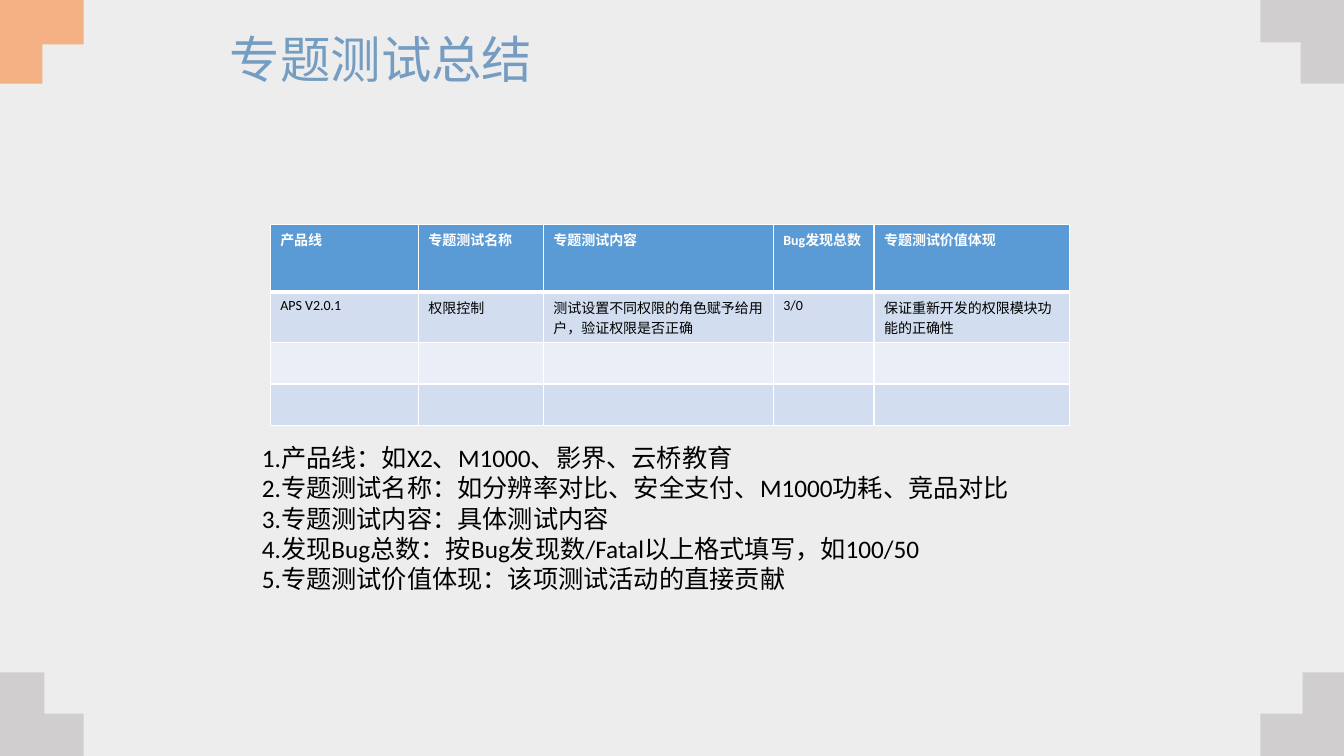
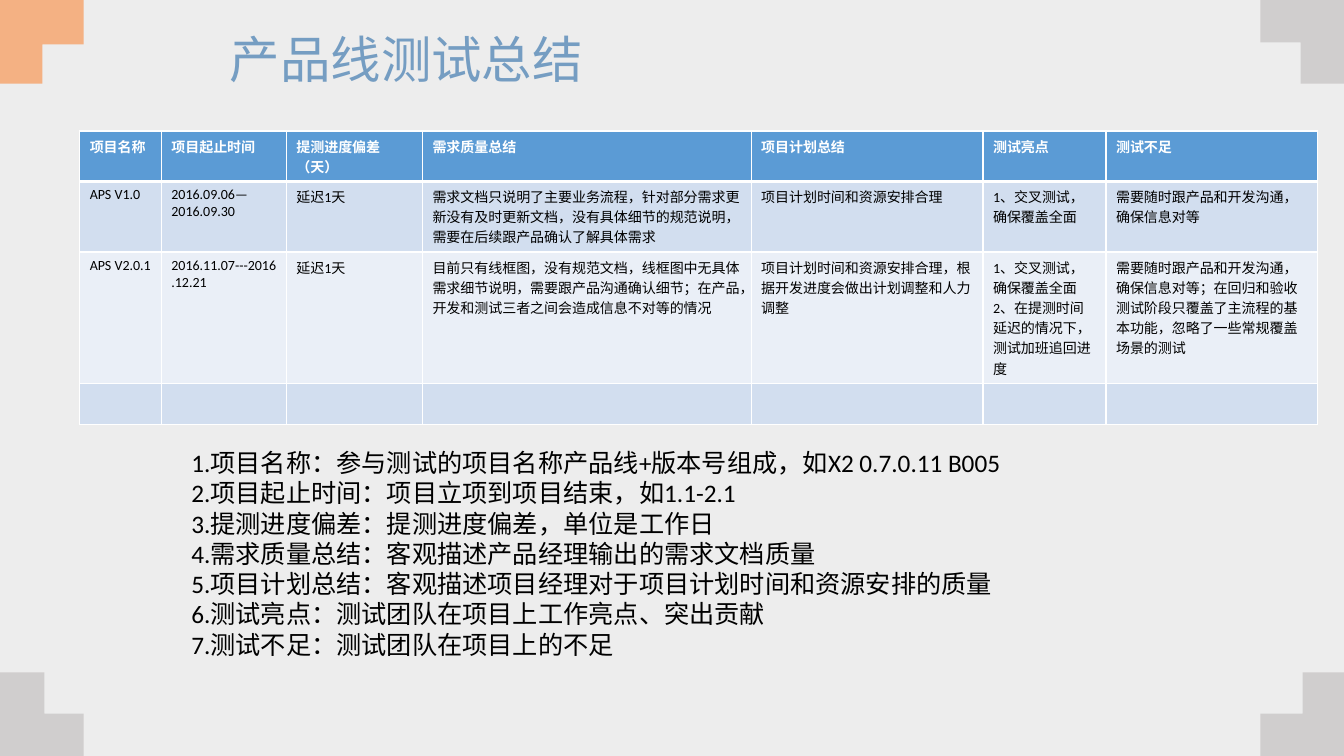
from lxml import etree
from pptx import Presentation
from pptx.dml.color import RGBColor
from pptx.enum.text import MSO_ANCHOR, MSO_AUTO_SIZE, PP_ALIGN
from pptx.oxml.ns import qn
from pptx.util import Inches, Pt

LEFT = PP_ALIGN.LEFT
TOP = MSO_ANCHOR.TOP
MIDDLE = MSO_ANCHOR.MIDDLE
NO_AUTOFIT = MSO_AUTO_SIZE.NONE
FIT_SHAPE = MSO_AUTO_SIZE.SHAPE_TO_FIT_TEXT
WIDTH, HEIGHT = 13.33, 7.5

BACKGROUND, ORANGE, GREY = "EDEDED", "F4B183", "D0CECE"
WHITE, BLACK, TITLE_BLUE, HEADER_BLUE = "FFFFFF", "000000", "759DC2", "5B9BD5"
BANDS = ["EAEFF7", "D2DEEF"]
LATIN, CHINESE = "Calibri", "Noto Sans CJK SC"

TITLE_FORMAT = {"name": CHINESE, "size": Pt(36), "bold": False}
HEADER_FORMAT = {"name": LATIN, "size": Pt(10), "bold": True}
CELL_FORMAT = {"name": LATIN, "size": Pt(10), "bold": False}
NOTE_FORMAT = {"name": LATIN, "size": Pt(18), "bold": False}


def color(value):
    return RGBColor.from_string(value)


class Deck:
    def __init__(self):
        self.presentation = Presentation()
        self.presentation.slide_width = Inches(WIDTH)
        self.presentation.slide_height = Inches(HEIGHT)
        self.layout = self.presentation.slide_layouts[5]
        fill = self.presentation.slide_master.background.fill
        fill.solid()
        fill.fore_color.rgb = color(BACKGROUND)
        self.slide = None

    def add_slide(self, title):
        first = self.slide is None
        self.slide = self.presentation.slides.add_slide(self.layout)
        if first:
            self.add_layout_corners()
        placeholder = self.slide.shapes.title
        self.place(placeholder, 2.18, 0.28, 8.98, 0.67)
        frame = placeholder.text_frame
        self.set_text(frame, [title], TITLE_FORMAT, TITLE_BLUE, CHINESE)
        for name, value in {"vertical_anchor": MIDDLE, "auto_size": NO_AUTOFIT,
                            "word_wrap": True}.items():
            setattr(frame, name, value)
        frame.paragraphs[0].line_spacing = 0.9

    def add_layout_corners(self):
        corners = [
            (0, HEIGHT, 1, -1, 0.44, 0.42, GREY),
            (0, 0, 1, 1, 0.42, 0.44, ORANGE),
            (WIDTH, 0, -1, 1, 0.43, 0.42, GREY),
            (WIDTH, HEIGHT, -1, -1, 0.41, 0.42, GREY),
        ]
        for corner in corners:
            shape = self.add_corner(*corner)
            self.layout.shapes.element.append(shape.element)

    def add_corner(self, x, y, across, down, arm_width, arm_height, fill, reach=0.83):
        offsets = [(0, 0), (reach, 0), (reach, arm_height), (arm_width, arm_height),
                   (arm_width, reach), (0, reach)]
        points = [(Inches(x + across * horizontal), Inches(y + down * vertical))
                  for horizontal, vertical in offsets]
        builder = self.slide.shapes.build_freeform(*points[0])
        builder.add_line_segments(points[1:], close=True)
        shape = builder.convert_to_shape()
        shape.shadow.inherit = False
        shape.fill.solid()
        shape.fill.fore_color.rgb = color(fill)
        shape.line.fill.background()
        return shape

    def add_notes_list(self, left, top, width, height, lines):
        box = self.slide.shapes.add_textbox(
            Inches(left), Inches(top), Inches(width), Inches(height))
        box.text_frame.word_wrap = True
        box.text_frame.auto_size = FIT_SHAPE
        numbered = [f"{number}.{line}" for number, line in enumerate(lines, 1)]
        self.set_text(box.text_frame, numbered, NOTE_FORMAT, BLACK, LATIN)

    def add_table(self, left, top, widths, heights, rows):
        frame = self.slide.shapes.add_table(
            len(heights), len(widths), Inches(left), Inches(top),
            Inches(sum(widths)), Inches(sum(heights)))
        table = frame.table
        table.first_row = table.horz_banding = False
        for column, width in zip(table.columns, widths):
            column.width = Inches(width)
        for index, height in enumerate(heights):
            table.rows[index].height = Inches(height)
            texts = rows[index] if index < len(rows) else [""] * len(widths)
            for cell, text in zip(table.rows[index].cells, texts):
                self.fill_cell(cell, text, index)

    def fill_cell(self, cell, text, row):
        header = row == 0
        cell.vertical_anchor = TOP
        cell.fill.solid()
        cell.fill.fore_color.rgb = color(HEADER_BLUE if header else BANDS[row % 2])
        if text:
            self.set_text(cell.text_frame, text.split("\n"),
                          HEADER_FORMAT if header else CELL_FORMAT,
                          WHITE if header else BLACK, CHINESE)
        borders = {"a:lnL": 1, "a:lnR": 1, "a:lnT": 3 if row == 1 else 1,
                   "a:lnB": 3 if header else 1}
        properties = cell._tc.get_or_add_tcPr()
        for position, (tag, points) in enumerate(borders.items()):
            line = etree.Element(qn(tag), w=str(Pt(points)))
            fill = etree.SubElement(line, qn("a:solidFill"))
            etree.SubElement(fill, qn("a:srgbClr"), val=WHITE)
            properties.insert(position, line)

    def place(self, shape, left, top, width, height):
        values = {"left": left, "top": top, "width": width, "height": height}
        for name, value in values.items():
            setattr(shape, name, Inches(value))

    def set_text(self, frame, lines, text_format, text_color, east_asian):
        for index, line in enumerate(lines):
            paragraph = frame.paragraphs[0] if index == 0 else frame.add_paragraph()
            paragraph.alignment = LEFT
            run = paragraph.add_run()
            run.text = line
            for name, value in text_format.items():
                setattr(run.font, name, value)
            run.font.color.rgb = color(text_color)
            etree.SubElement(run._r.get_or_add_rPr(), qn("a:ea"), typeface=east_asian)


def main():
    deck = Deck()

    deck.add_slide("专题测试总结")
    deck.add_table(2.68, 2.23, [1.47, 1.24, 2.28, 1, 1.94], [0.67, 0.5, 0.41, 0.41], [
        ["产品线", "专题测试名称", "专题测试内容", "Bug发现总数", "专题测试价值体现"],
        ["APS V2.0.1", "权限控制", "测试设置不同权限的角色赋予给用户，验证权限是否正确",
         "3/0", "保证重新开发的权限模块功能的正确性"],
    ])
    deck.add_notes_list(2.5, 4.34, 7.63, 1.62, [
        "产品线：如X2、M1000、影界、云桥教育",
        "专题测试名称：如分辨率对比、安全支付、M1000功耗、竞品对比",
        "专题测试内容：具体测试内容",
        "发现Bug总数：按Bug发现数/Fatal以上格式填写，如100/50",
        "专题测试价值体现：该项测试活动的直接贡献",
    ])

    deck.add_slide("产品线测试总结")
    deck.add_table(0.79, 1.3, [0.81, 1.24, 1.35, 3.26, 2.3, 1.22, 2.1],
                   [0.5, 0.7, 1.3, 0.41], [
        ["项目名称", "项目起止时间", "提测进度偏差（天）", "需求质量总结",
         "项目计划总结", "测试亮点", "测试不足"],
        ["APS V1.0", "2016.09.06—2016.09.30", "延迟1天",
         "需求文档只说明了主要业务流程，针对部分需求更新没有及时更新文档，"
         "没有具体细节的规范说明，需要在后续跟产品确认了解具体需求",
         "项目计划时间和资源安排合理", "1、交叉测试，确保覆盖全面",
         "需要随时跟产品和开发沟通，确保信息对等"],
        ["APS V2.0.1", "2016.11.07---2016.12.21", "延迟1天",
         "目前只有线框图，没有规范文档，线框图中无具体需求细节说明，"
         "需要跟产品沟通确认细节；在产品，开发和测试三者之间会造成信息不对等的情况",
         "项目计划时间和资源安排合理，根据开发进度会做出计划调整和人力调整",
         "1、交叉测试，确保覆盖全面\n2、在提测时间延迟的情况下，测试加班追回进度",
         "需要随时跟产品和开发沟通，确保信息对等；在回归和验收测试阶段"
         "只覆盖了主流程的基本功能，忽略了一些常规覆盖场景的测试"],
    ])
    deck.add_notes_list(1.8, 4.39, 8.3, 2.22, [
        "项目名称：参与测试的项目名称产品线+版本号组成，如X2 0.7.0.11 B005",
        "项目起止时间：项目立项到项目结束，如1.1-2.1",
        "提测进度偏差：提测进度偏差，单位是工作日",
        "需求质量总结：客观描述产品经理输出的需求文档质量",
        "项目计划总结：客观描述项目经理对于项目计划时间和资源安排的质量",
        "测试亮点：测试团队在项目上工作亮点、突出贡献",
        "测试不足：测试团队在项目上的不足",
    ])

    deck.presentation.save("out.pptx")


if __name__ == "__main__":
    main()
